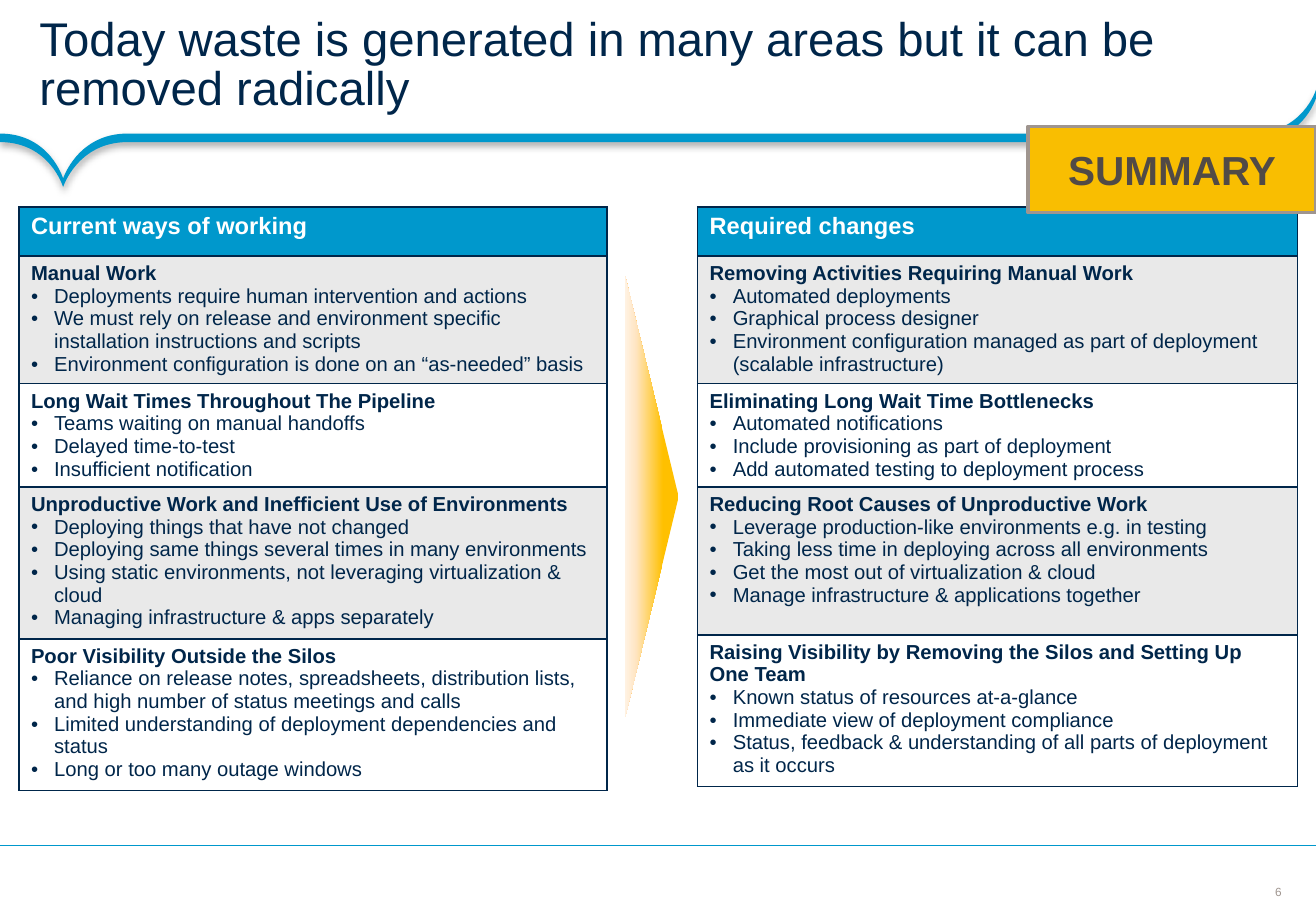
from lxml import etree
from pptx import Presentation
from pptx.dml.color import RGBColor
from pptx.enum.shapes import MSO_CONNECTOR, MSO_SHAPE
from pptx.enum.text import MSO_ANCHOR, PP_ALIGN
from pptx.oxml import parse_xml
from pptx.oxml.ns import nsdecls, qn
from pptx.util import Inches, Pt

RECT, TRIANGLE = MSO_SHAPE.RECTANGLE, MSO_SHAPE.ISOSCELES_TRIANGLE
STRAIGHT = MSO_CONNECTOR.STRAIGHT
LEFT, CENTER = PP_ALIGN.LEFT, PP_ALIGN.CENTER
TOP, MIDDLE = MSO_ANCHOR.TOP, MSO_ANCHOR.MIDDLE

NAVY = RGBColor(0x00, 0x26, 0x4A)
BLUE = RGBColor(0x00, 0x98, 0xCC)
GREY = RGBColor(0x9F, 0x95, 0x8F)
PALE = RGBColor(0xE9, 0xE9, 0xE9)
WHITE = RGBColor(0xFF, 0xFF, 0xFF)
YELLOW = RGBColor(0xF9, 0xBE, 0x01)
BROWN = RGBColor(0x51, 0x4A, 0x46)
AMBER = RGBColor(0xFF, 0xC0, 0x00)
PEACH = RGBColor(0xFF, 0xE5, 0xC3)
CREAM = RGBColor(0xFF, 0xF2, 0xE2)

COLS, ROWS = 1083, 750
UNIT = Inches(0.01)
ROW_HEIGHTS = [40.5, 103.3, 84.7, 121.8, 122]

CURRENT = [
    ("Manual Work",
     "Deployments require human intervention and actions",
     "We must rely on release and environment specific installation instructions and scripts",
     "Environment configuration is done on an “as-needed” basis"),
    ("Long Wait Times Throughout The Pipeline",
     "Teams waiting on manual handoffs",
     "Delayed time-to-test",
     "Insufficient notification"),
    ("Unproductive Work and Inefficient Use of Environments",
     "Deploying things that have not changed",
     "Deploying same things several times in many environments",
     "Using static environments, not leveraging virtualization & cloud",
     "Managing infrastructure & apps separately"),
    ("Poor Visibility Outside the Silos",
     "Reliance on release notes, spreadsheets, distribution lists, "
     "and high number of status meetings and calls",
     "Limited understanding of deployment dependencies and status",
     "Long or too many outage windows"),
]
REQUIRED = [
    ("Removing Activities Requiring Manual Work",
     "Automated deployments",
     "Graphical process designer",
     "Environment configuration managed as part of deployment (scalable infrastructure)"),
    ("Eliminating Long Wait Time Bottlenecks",
     "Automated notifications",
     "Include provisioning as part of deployment",
     "Add automated testing to deployment process"),
    ("Reducing Root Causes of Unproductive Work",
     "Leverage production-like environments e.g. in testing",
     "Taking less time in deploying across all environments",
     "Get the most out of virtualization & cloud",
     "Manage infrastructure & applications together"),
    ("Raising Visibility by Removing the Silos and Setting Up One Team",
     "Known status of resources at-a-glance",
     "Immediate view of deployment compliance",
     "Status, feedback & understanding of all parts of deployment as it occurs"),
]


def grid(*cells):
    return [round(c * UNIT) for c in cells]


def write(p, text, size=12, color=NAVY, bold=False, align=LEFT, spacing=None, bullet=False):
    p.alignment = align
    p.line_spacing = spacing
    if bullet:
        pPr = p._p.get_or_add_pPr()
        indent = Inches(0.19)
        pPr.set("marL", str(indent))
        pPr.set("indent", str(-indent))
        etree.SubElement(pPr, qn("a:buFont")).set("typeface", "Arial")
        etree.SubElement(pPr, qn("a:buChar")).set("char", "•")
    r = p.add_run()
    r.text = text
    f = r.font
    f.name, f.size, f.bold = "Arial", Pt(size), bold
    f.color.rgb = color
    etree.SubElement(p._p, qn("a:endParaRPr")).set("sz", str(size * 100))


class Deck:
    def __init__(self, prs):
        self.s = prs.slides.add_slide(prs.slide_layouts[6])

    def text(self, box, text, insets=(0, 0, 0, 0), wrap=True, **style):
        tf = self.s.shapes.add_textbox(*grid(*box)).text_frame
        tf.word_wrap, tf.vertical_anchor = wrap, MIDDLE
        tf.margin_left, tf.margin_top, tf.margin_right, tf.margin_bottom = grid(*insets)
        write(tf.paragraphs[0], text, **style)

    def shape(self, kind, box, fill=None, line=None, width=1, text=None, **style):
        sp = self.s.shapes.add_shape(kind, *grid(*box))
        self.paint(sp, fill, line, width)
        if text:
            sp.text_frame.vertical_anchor = MIDDLE
            write(sp.text_frame.paragraphs[0], text, **style)
        return sp

    def paint(self, sp, fill, line=None, width=1):
        sp.shadow.inherit = False
        if fill is not None:
            sp.fill.solid()
            sp.fill.fore_color.rgb = fill
        if line is None:
            sp.line.fill.background()
        else:
            sp.line.color.rgb, sp.line.width = line, Pt(width)

    def arrow(self, center, length, depth, stops):
        x, y = center
        sp = self.shape(TRIANGLE, (x - length / 2, y - depth / 2, length, depth))
        sp.rotation = 90
        gs = "".join(f'<a:gs pos="{pos * 1000}"><a:srgbClr val="{c}"/></a:gs>' for pos, c in stops)
        sp._element.spPr.find(qn("a:prstGeom")).addnext(parse_xml(
            f'<a:gradFill {nsdecls("a")} rotWithShape="1"><a:gsLst>{gs}</a:gsLst>'
            '<a:lin ang="5400000" scaled="0"/></a:gradFill>'))

    def curves(self, points, fill):
        pts = [grid(*pt) for pt in points]
        fb = self.s.shapes.build_freeform(*pts[0], scale=1.0)
        fb.add_line_segments(pts[3::3], close=True)
        sp = fb.convert_to_shape()
        for i, ln in enumerate(list(sp._element.iter(qn("a:lnTo")))):
            ln.tag = qn("a:cubicBezTo")
            ln.clear()
            for x, y in pts[3 * i + 1:3 * i + 4]:
                pt = etree.SubElement(ln, qn("a:pt"))
                pt.set("x", str(x - sp.left))
                pt.set("y", str(y - sp.top))
        self.paint(sp, fill)
        sp._element.spPr.find(qn("a:effectLst")).append(parse_xml(
            f'<a:outerShdw {nsdecls("a")} blurRad="{Pt(4)}" dist="{Pt(2)}" dir="5400000" '
            'rotWithShape="0"><a:srgbClr val="000000"><a:alpha val="31000"/></a:srgbClr></a:outerShdw>'))

    def line(self, start, end, color, width):
        ln = self.s.shapes.add_connector(STRAIGHT, *grid(*start, *end))
        ln.line.color.rgb, ln.line.width = color, Pt(width)
        etree.SubElement(ln._element.spPr, qn("a:effectLst"))

    def table(self, left, top, width, header, sections):
        box = grid(left, top, width, sum(ROW_HEIGHTS))
        tbl = self.s.shapes.add_table(len(ROW_HEIGHTS), 1, *box).table
        tbl.first_row = tbl.horz_banding = False
        for row, height in zip(tbl.rows, grid(*ROW_HEIGHTS)):
            row.height = height
        self.cell(tbl.cell(0, 0), BLUE)
        write(tbl.cell(0, 0).text_frame.paragraphs[0], header, size=14, color=WHITE, bold=True)
        for i, (heading, *items) in enumerate(sections, 1):
            cell = tbl.cell(i, 0)
            self.cell(cell, PALE if i % 2 else WHITE)
            tf = cell.text_frame
            write(tf.paragraphs[0], heading, bold=True)
            for item in items:
                write(tf.add_paragraph(), item, bullet=True)

    def cell(self, cell, fill):
        cell.vertical_anchor, cell.margin_bottom = TOP, 0
        tcPr = cell._tc.get_or_add_tcPr()
        for side in ("lnL", "lnR", "lnT", "lnB"):
            tcPr.append(parse_xml(
                f'<a:{side} {nsdecls("a")} w="{Pt(1)}"><a:solidFill><a:srgbClr val="{NAVY}"/>'
                f'</a:solidFill></a:{side}>'))
        cell.fill.solid()
        cell.fill.fore_color.rgb = fill


prs = Presentation()
prs.slide_width, prs.slide_height = grid(COLS, ROWS)
deck = Deck(prs)

deck.text((1046, 728.5, 12, 12), "6", wrap=False, size=7, color=GREY, align=CENTER)

tip, end = (52, 147), (COLS, 74)
upper = [(0, 110), (41, 110), tip, tip, tip, (64, 110), (105, 110),
         (105, 110), (1030, 110), (1030, 110), (1072, 110), end, end]
lower = [(x, y + 7) for x, y in reversed(upper)]
deck.curves(upper + lower[:1] * 2 + lower, BLUE)

deck.line((COLS, 696), (0, 696), BLUE, 0.75)
deck.text((0, 0, COLS, 110), "Today waste is generated in many areas but it can be removed radically",
          insets=(32.5, 3.5, 18, 4), size=28, spacing=0.85)
deck.table(15.5, 170.3, 484, "Current ways of working", CURRENT)
deck.table(574, 170.3, 494, "Required changes", REQUIRED)
deck.arrow((536.5, 409), 363, 44, [(0, AMBER), (29, AMBER), (80, PEACH), (100, CREAM)])
deck.shape(RECT, (846, 104, 237, 71), YELLOW, GREY, 2,
           text="SUMMARY", size=24, color=BROWN, bold=True, align=CENTER)

prs.save("out.pptx")
